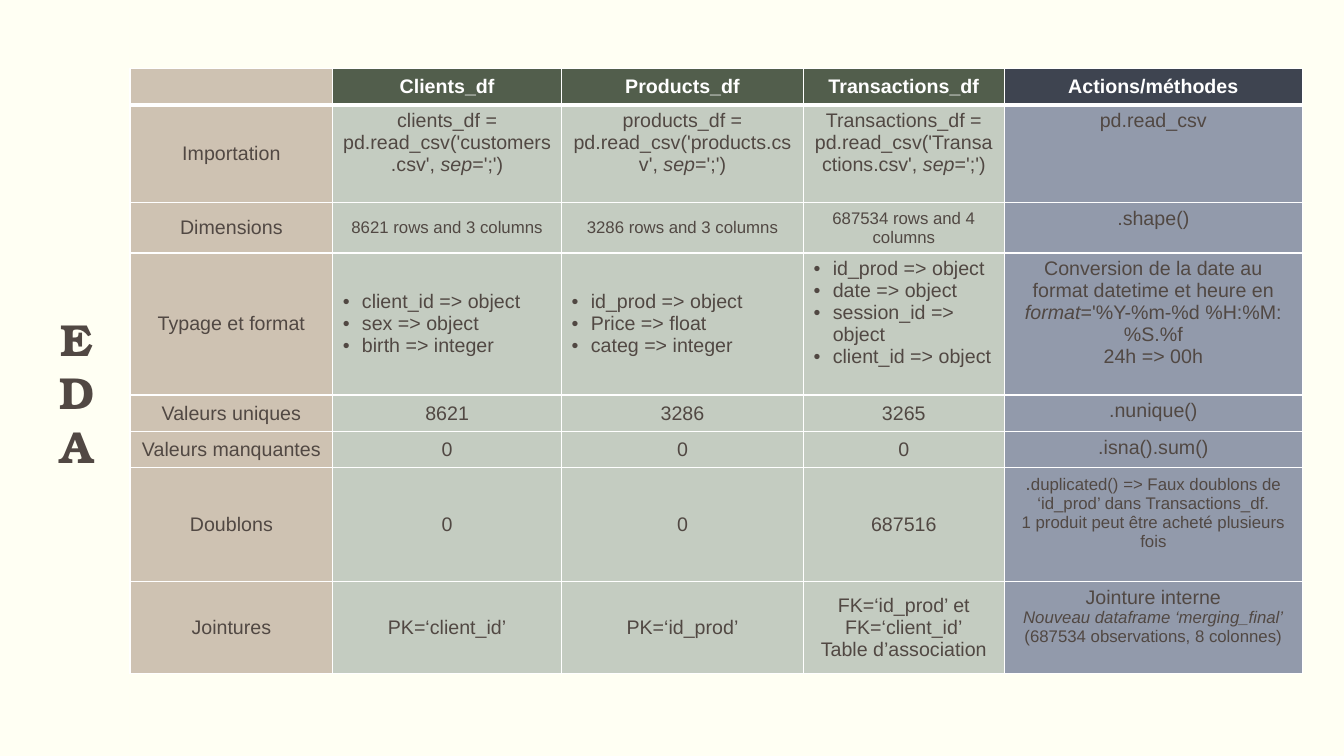
from dataclasses import dataclass
from lxml.etree import SubElement as Sub
from pptx import Presentation
from pptx.dml.color import RGBColor as Rgb
from pptx.enum.text import MSO_ANCHOR as Anchor, MSO_AUTO_SIZE as Auto, PP_ALIGN as Align
from pptx.oxml.ns import qn
from pptx.util import Inches, Pt


@dataclass(frozen=True)
class Theme:
    back: str = "FFFFF3"
    white: str = "FFFFFF"
    ink: str = "514843"
    sand: str = "CEC2B2"
    green: str = "525E4C"
    sage: str = "C4CCC1"
    navy: str = "3E4450"
    slate: str = "929AAB"
    sans: str = "Arial"
    serif: str = "TeX Gyre Bonum"
    title: int = 32
    body: int = 14
    small: int = 12


COLS = [2.01, 2.27, 2.4, 1.99, 2.96]
ROWS = [0.36, 0.97, 0.5, 1.41, 0.36, 0.36, 1.13, 0.91]
ITALIC, SMALL, BULLET = "*", "~", "•"
CELLS = [
    ["", "Clients_df", "Products_df", "Transactions_df", "Actions/méthodes"],
    ["Importation",
     "clients_df = pd.read_csv('customers.csv', *sep*=';')",
     "products_df = pd.read_csv('products.csv', *sep*=';')",
     "Transactions_df = pd.read_csv('Transactions.csv', *sep*=';')",
     "pd.read_csv"],
    ["Dimensions", "~8621 rows and 3 columns", "~3286 rows and 3 columns",
     "~687534 rows and 4 columns", ".shape()"],
    ["Typage et format",
     "•client_id => object\n•sex => object\n•birth => integer",
     "•id_prod => object\n•Price => float\n•categ => integer",
     "•id_prod => object\n•date => object\n•session_id => object\n•client_id => object",
     "Conversion de la date au format datetime et heure en "
     "*format*='%Y-%m-%d %H:%M:%S.%f\n24h => 00h"],
    ["Valeurs uniques", "8621", "3286", "3265", ".nunique()"],
    ["Valeurs manquantes", "0", "0", "0", ".isna().sum()"],
    ["Doublons", "0", "0", "687516",
     ".~duplicated() => Faux doublons de ‘id_prod’ dans Transactions_df.\n"
     "~1 produit peut être acheté plusieurs fois"],
    ["Jointures", "PK=‘client_id’", "PK=‘id_prod’",
     "FK=‘id_prod’ et FK=‘client_id’\nTable d’association",
     "Jointure interne\n~*Nouveau dataframe ‘merging_final’*\n"
     "~(687534 observations, 8 colonnes)"],
]
HIGH = {(1, 1), (1, 2), (1, 3), (3, 3)}


class Deck:
    def __init__(self, theme):
        self.theme = theme
        self.show = Presentation()
        self.show.slide_width, self.show.slide_height = Inches(13.33), Inches(7.5)
        self.slide = self.show.slides.add_slide(self.show.slide_layouts[6])
        fill = self.slide.background.fill
        fill.solid()
        fill.fore_color.rgb = Rgb.from_string(theme.back)

    def run(self, para, text, color, **form):
        run = para.add_run()
        run.text = text
        for key, val in form.items():
            setattr(run.font, key, val)
        run.font.color.rgb = Rgb.from_string(color)

    def bullet(self, para):
        props = para._p.get_or_add_pPr()
        props.set("marL", str(Inches(0.19)))
        props.set("indent", str(-Inches(0.19)))
        Sub(props, qn("a:buFont"), typeface=self.theme.sans)
        Sub(props, qn("a:buChar"), char=BULLET)

    def text(self, frame, text, color, bold):
        for num, line in enumerate(text.split("\n")):
            para = frame.add_paragraph() if num else frame.paragraphs[0]
            if line.startswith(BULLET):
                self.bullet(para)
                line = line[1:]
            else:
                para.alignment = Align.CENTER
            big, _, low = line.partition(SMALL)
            for part, size in (big, self.theme.body), (low, self.theme.small):
                for num, piece in enumerate(part.split(ITALIC)):
                    if piece:
                        self.run(para, piece, color, name=self.theme.sans,
                                 size=Pt(size), bold=bold, italic=num % 2 == 1)

    def border(self, cell, row):
        props = cell._tc.get_or_add_tcPr()
        wide = {0: "lnB", 1: "lnT"}.get(row)
        for side in ("lnL", "lnR", "lnT", "lnB"):
            line = Sub(props, qn(f"a:{side}"), w=str(Pt(3 if side == wide else 1)))
            Sub(Sub(line, qn("a:solidFill")), qn("a:srgbClr"), val=self.theme.white)

    def shade(self, row, col):
        look = self.theme
        if col == 0:
            return look.sand
        if col == len(COLS) - 1:
            return look.slate if row else look.navy
        return look.sage if row else look.green

    def table(self, left, top):
        grid = self.slide.shapes.add_table(
            len(ROWS), len(COLS), Inches(left), Inches(top),
            Inches(sum(COLS)), Inches(sum(ROWS))).table
        grid.first_row = grid.horz_banding = False
        for col, width in zip(grid.columns, COLS):
            col.width = Inches(width)
        for row, height in zip(grid.rows, ROWS):
            row.height = Inches(height)
        for row, line in enumerate(CELLS):
            for col, text in enumerate(line):
                cell = grid.cell(row, col)
                self.border(cell, row)
                cell.fill.solid()
                cell.fill.fore_color.rgb = Rgb.from_string(self.shade(row, col))
                high = (row, col) in HIGH or (row and col == len(COLS) - 1)
                cell.vertical_anchor = Anchor.TOP if high else Anchor.MIDDLE
                if not text:
                    cell.margin_top = cell.margin_bottom = 0
                self.text(cell.text_frame, text,
                          self.theme.ink if row else self.theme.white, row == 0)

    def title(self, text, left, top, width, height):
        frame = self.slide.shapes.add_textbox(
            *map(Inches, (left, top, width, height))).text_frame
        form = {"word_wrap": True, "auto_size": Auto.SHAPE_TO_FIT_TEXT,
                "vertical_anchor": Anchor.MIDDLE}
        for key, val in form.items():
            setattr(frame, key, val)
        frame._txBody.bodyPr.set("vert", "wordArtVert")
        para = frame.paragraphs[0]
        para.alignment = Align.CENTER
        self.run(para, text, self.theme.ink, name=self.theme.serif,
                 size=Pt(self.theme.title), bold=True)


def main():
    deck = Deck(Theme())
    deck.table(1.29, 0.68)
    deck.title("EDA", 0.35, 1.01, 0.82, 5.76)
    deck.show.save("out.pptx")


if __name__ == "__main__":
    main()
